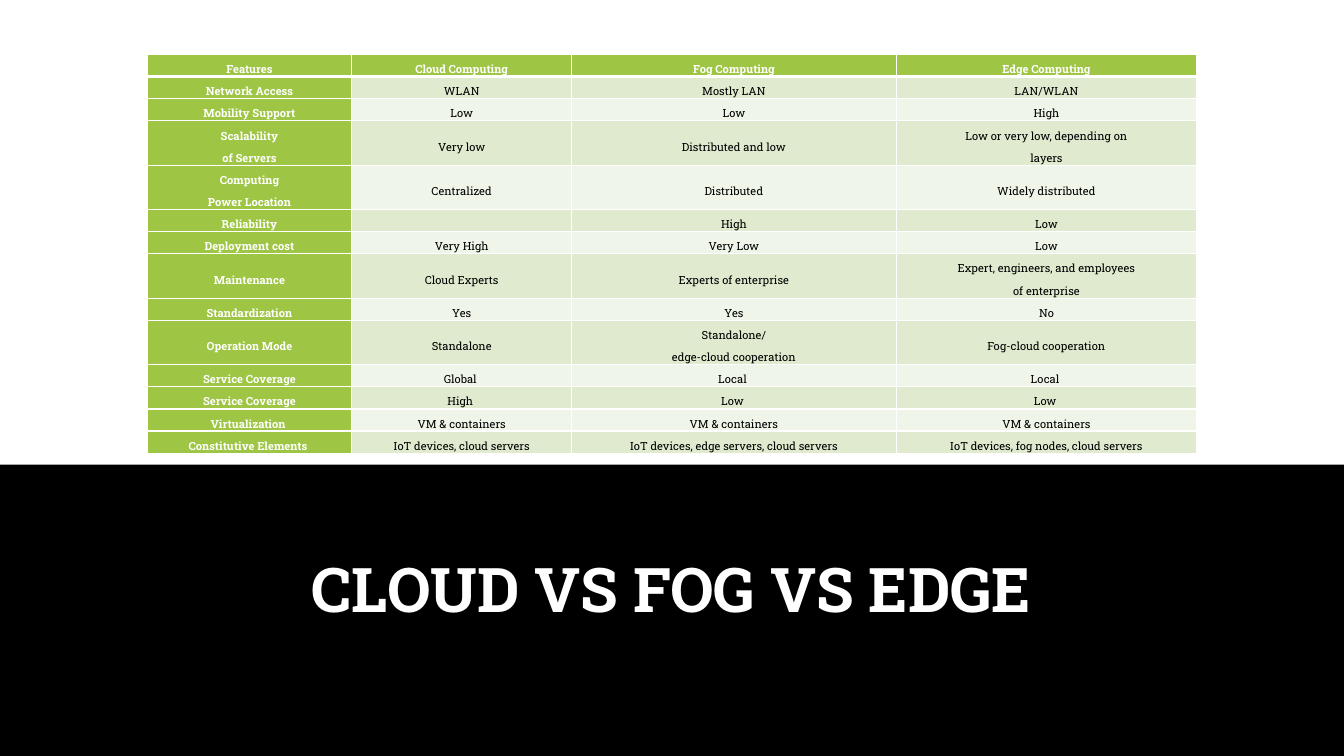
"""Build a slide comparing cloud, fog and edge computing in a table."""
from lxml import etree
from pptx import Presentation
from pptx.dml.color import RGBColor
from pptx.enum.shapes import MSO_SHAPE
from pptx.enum.text import MSO_ANCHOR, PP_ALIGN
from pptx.oxml.ns import qn
from pptx.util import Inches, Pt

RECT = MSO_SHAPE.RECTANGLE
MIDDLE, BOTTOM = MSO_ANCHOR.MIDDLE, MSO_ANCHOR.BOTTOM
CENTER = PP_ALIGN.CENTER
FONT = "Roboto Slab"
WHITE, BLACK, GREEN = "FFFFFF", "000000", "9EC544"
BANDS = ["F0F5E9", "DFEACF"]
COLUMN_WIDTHS = [2.03, 2.18, 3.22, 2.98]
LINE_HEIGHT = 0.22
ROWS = [
    ["Features", "Cloud Computing", "Fog Computing", "Edge Computing"],
    ["Network Access", "WLAN", "Mostly LAN", "LAN/WLAN"],
    ["Mobility Support", "Low", "Low", "High"],
    ["Scalability\nof Servers", "Very low", "Distributed and low",
     "Low or very low, depending on\nlayers"],
    ["Computing\nPower Location", "Centralized", "Distributed", "Widely distributed"],
    ["Reliability", "", "High", "Low"],
    ["Deployment cost", "Very High", "Very Low", "Low"],
    ["Maintenance", "Cloud Experts", "Experts of enterprise",
     "Expert, engineers, and employees\nof enterprise"],
    ["Standardization", "Yes", "Yes", "No"],
    ["Operation Mode", "Standalone", "Standalone/\nedge-cloud cooperation",
     "Fog-cloud cooperation"],
    ["Service Coverage", "Global ", "Local ", "Local "],
    ["Service Coverage", "High ", "Low ", "Low "],
    ["Virtualization ", "VM & containers", "VM & containers", "VM & containers"],
    ["Constitutive Elements ", "IoT devices, cloud servers",
     "IoT devices, edge servers, cloud servers",
     "IoT devices, fog nodes, cloud servers"],
]


def rgb(color):
    """Turn a hex string into a colour."""
    return RGBColor.from_string(color)


def write(tf, text, size, color, bold, spacing):
    """Fill a text frame with one centred paragraph per line of text."""
    for i, line in enumerate(text.split("\n")):
        p = tf.add_paragraph() if i else tf.paragraphs[0]
        p.alignment = CENTER
        p.line_spacing = spacing
        if not line:
            etree.SubElement(p._p, qn("a:endParaRPr"), sz=str(size * 100))
            continue
        r = p.add_run()
        r.text = line
        r.font.name = FONT
        r.font.size = Pt(size)
        r.font.bold = bold
        r.font.color.rgb = rgb(color)


prs = Presentation()
prs.slide_width = Inches(13.33)
prs.slide_height = Inches(7.5)
s = prs.slides.add_slide(prs.slide_layouts[6])
s.background.fill.solid()
s.background.fill.fore_color.rgb = rgb(BLACK)

title = s.shapes.add_textbox(Inches(0.87), Inches(4.98), Inches(11.59), Inches(1.28))
tf = title.text_frame
tf.word_wrap = True
tf.vertical_anchor = BOTTOM
write(tf, "CLOUD VS FOG VS EDGE", 44, WHITE, True, 0.9)

panel = s.shapes.add_shape(RECT, 0, 0, Inches(13.33), Inches(4.61))
panel.shadow.inherit = False
panel.fill.solid()
panel.fill.fore_color.rgb = rgb(WHITE)
panel.line.fill.background()

table = s.shapes.add_table(len(ROWS), len(COLUMN_WIDTHS), Inches(1.46), Inches(0.54),
                           Inches(10.41), Inches(3.96)).table
for column, width in zip(table.columns, COLUMN_WIDTHS):
    column.width = Inches(width)

for i, texts in enumerate(ROWS):
    lines = max(len(text.split("\n")) for text in texts)
    table.rows[i].height = Inches(LINE_HEIGHT * lines)
    for j, text in enumerate(texts):
        cell = table.cell(i, j)
        heading = i == 0 or j == 0
        cell.vertical_anchor = MIDDLE
        cell.margin_left = cell.margin_right = Inches(0.04)
        cell.margin_top = cell.margin_bottom = 0
        write(cell.text_frame, text, 8, WHITE if heading else BLACK, heading, 1.5)
        for side in "LRTB":
            under_header = (i, side) in [(0, "B"), (1, "T")]
            ln = etree.SubElement(cell._tc.get_or_add_tcPr(), qn("a:ln" + side),
                                  w=str(Pt(3 if under_header else 1)))
            fill = etree.SubElement(ln, qn("a:solidFill"))
            etree.SubElement(fill, qn("a:srgbClr"), val=WHITE)
        cell.fill.solid()
        cell.fill.fore_color.rgb = rgb(GREEN if heading else BANDS[i % 2])

prs.save("out.pptx")
